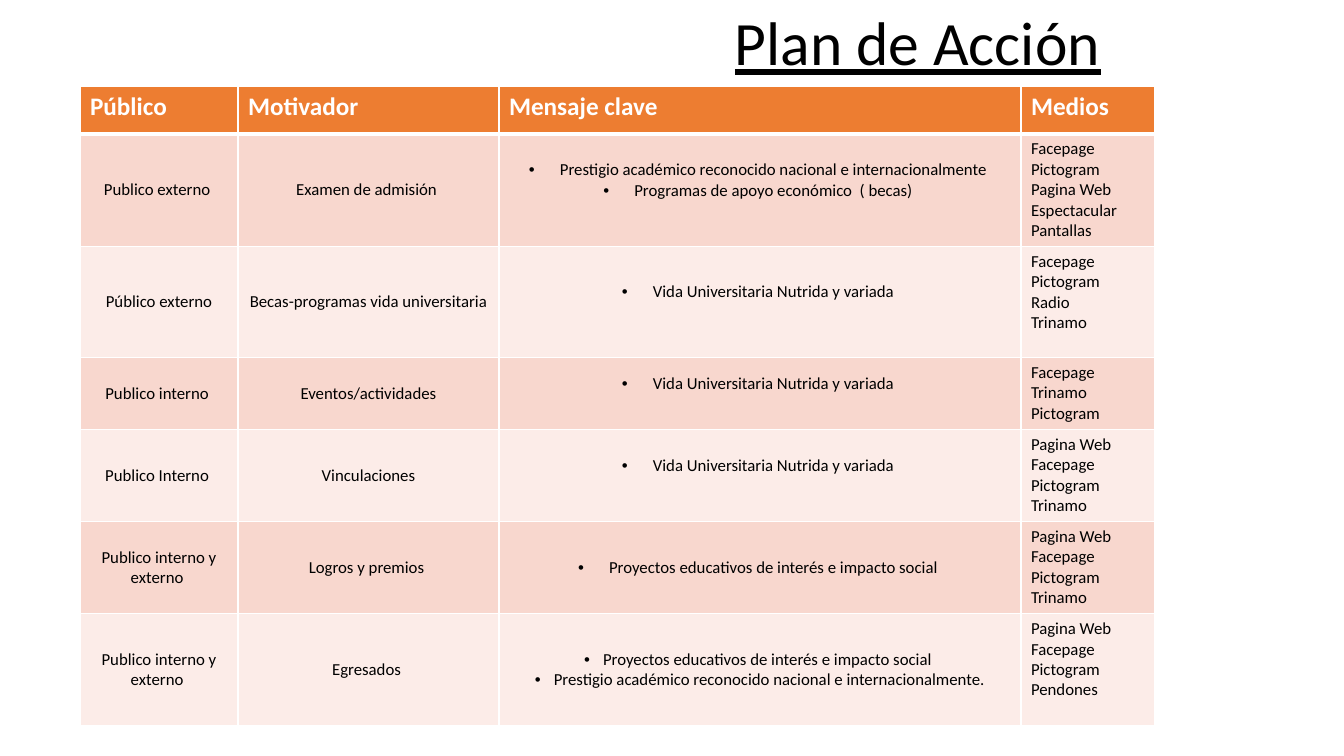
from lxml import etree
from pptx import Presentation
from pptx.dml.color import RGBColor
from pptx.enum.text import MSO_ANCHOR, PP_ALIGN
from pptx.oxml.ns import qn
from pptx.util import Pt

LEFT, CENTER = PP_ALIGN.LEFT, PP_ALIGN.CENTER
TOP, MIDDLE = MSO_ANCHOR.TOP, MSO_ANCHOR.MIDDLE

EMU_PER_PX = 9071.43
FONT = "Calibri"
WHITE, BLACK, ORANGE = "FFFFFF", "000000", "ED7D31"
BANDS = ["F8D7CE", "FCECE8"]

COLUMN_WIDTHS = [158, 261, 522, 134]
ROW_HEIGHTS = [48, 112, 111, 72, 92, 92, 112]
HEADERS = ["Público", "Motivador", "Mensaje clave", "Medios"]

CAMPUS_LIFE = "Vida Universitaria Nutrida y variada "
PROJECTS = "Proyectos educativos de interés e impacto social "
WEB_MEDIA = ["Pagina Web", "Facepage", "Pictogram"]

# Audience, motivator, messages, media, bullet indent, bottom margin of messages
ACTIONS = [
    ("Publico externo ", "Examen de admisión ",
     ["Prestigio académico reconocido nacional e internacionalmente ",
      "Programas de apoyo económico  ( becas) "],
     ["Facepage", "Pictogram", "Pagina Web", "Espectacular", "Pantallas"], 31, 25),
    ("Público externo", "Becas-programas vida universitaria ", [CAMPUS_LIFE],
     ["Facepage", "Pictogram", "Radio", "Trinamo"], 31, 25),
    ("Publico interno ", "Eventos/actividades", [CAMPUS_LIFE],
     ["Facepage Trinamo", "Pictogram"], 31, 25),
    ("Publico Interno ", "Vinculaciones", [CAMPUS_LIFE],
     WEB_MEDIA + ["Trinamo"], 31, 25),
    ("Publico interno y externo ", "Logros y premios ", [PROJECTS],
     WEB_MEDIA + ["Trinamo"], 31, 5),
    ("Publico interno y externo ", "Egresados ",
     [PROJECTS, "Prestigio académico reconocido nacional e internacionalmente."],
     WEB_MEDIA + ["Pendones"], 19, 5),
]


def px(value):
    return round(value * EMU_PER_PX)


def color(value):
    return RGBColor.from_string(value)


def add_run(paragraph, text, size, text_color, bold=False, underline=False):
    run = paragraph.add_run()
    run.text = text
    font = run.font
    font.name, font.size = FONT, Pt(size)
    font.bold, font.underline = bold, underline
    font.color.rgb = color(text_color)


def add_bullet(paragraph, indent):
    properties = paragraph._p.get_or_add_pPr()
    properties.set("marL", str(px(indent)))
    properties.set("indent", str(-px(indent)))
    font = etree.SubElement(properties, qn("a:buFont"))
    font.set("typeface", "Arial")
    etree.SubElement(properties, qn("a:buChar")).set("char", "•")


def set_borders(cell, top=1, bottom=1):
    properties = cell._tc.get_or_add_tcPr()
    for side, width in (("L", 1), ("R", 1), ("T", top), ("B", bottom)):
        line = etree.SubElement(properties, qn(f"a:ln{side}"))
        line.set("w", str(Pt(width)))
        fill = etree.SubElement(line, qn("a:solidFill"))
        etree.SubElement(fill, qn("a:srgbClr")).set("val", WHITE)


def fill_cell(cell, fill, lines, size=12, text_color=BLACK, bold=False,
              alignment=LEFT, anchor=TOP, indent=0):
    cell.fill.solid()
    cell.fill.fore_color.rgb = color(fill)
    cell.vertical_anchor = anchor
    for index, line in enumerate(lines):
        frame = cell.text_frame
        paragraph = frame.add_paragraph() if index else frame.paragraphs[0]
        paragraph.alignment = alignment
        if indent:
            add_bullet(paragraph, indent)
        add_run(paragraph, line, size, text_color, bold)


def add_title(slide, text):
    box = slide.shapes.add_textbox(px(725), px(-27), px(501), px(146))
    frame = box.text_frame
    frame.word_wrap = True
    frame.vertical_anchor = MIDDLE
    paragraph = frame.paragraphs[0]
    paragraph.line_spacing = 0.9
    add_run(paragraph, text, 44, BLACK, underline=True)


def add_action_table(slide):
    table = slide.shapes.add_table(
        len(ROW_HEIGHTS), len(COLUMN_WIDTHS), px(80), px(86),
        px(sum(COLUMN_WIDTHS)), px(sum(ROW_HEIGHTS))).table
    table.horz_banding = False
    for column, width in zip(table.columns, COLUMN_WIDTHS):
        column.width = px(width)
    for row, height in zip(table.rows, ROW_HEIGHTS):
        row.height = px(height)

    # Header row, set off by a thicker rule
    for cell, header in zip(table.rows[0].cells, HEADERS):
        set_borders(cell, bottom=3)
        fill_cell(cell, ORANGE, [header], 18, WHITE, bold=True)

    # Action rows
    for number, action in enumerate(ACTIONS):
        audience, motivator, messages, media, indent, bottom_margin = action
        fill = BANDS[number % 2]
        cells = list(table.rows[number + 1].cells)
        for cell in cells:
            set_borders(cell, top=1 if number else 3)
        for cell, text in zip(cells, (audience, motivator)):
            fill_cell(cell, fill, [text], alignment=CENTER, anchor=MIDDLE)
        fill_cell(cells[2], fill, messages, alignment=CENTER, anchor=MIDDLE,
                  indent=indent)
        cells[2].margin_bottom = px(bottom_margin)
        fill_cell(cells[3], fill, media)


def main():
    presentation = Presentation()
    presentation.slide_width, presentation.slide_height = px(1344), px(756)
    slide = presentation.slides.add_slide(presentation.slide_layouts[6])
    add_action_table(slide)
    add_title(slide, "Plan de Acción")
    presentation.save("out.pptx")


if __name__ == "__main__":
    main()
